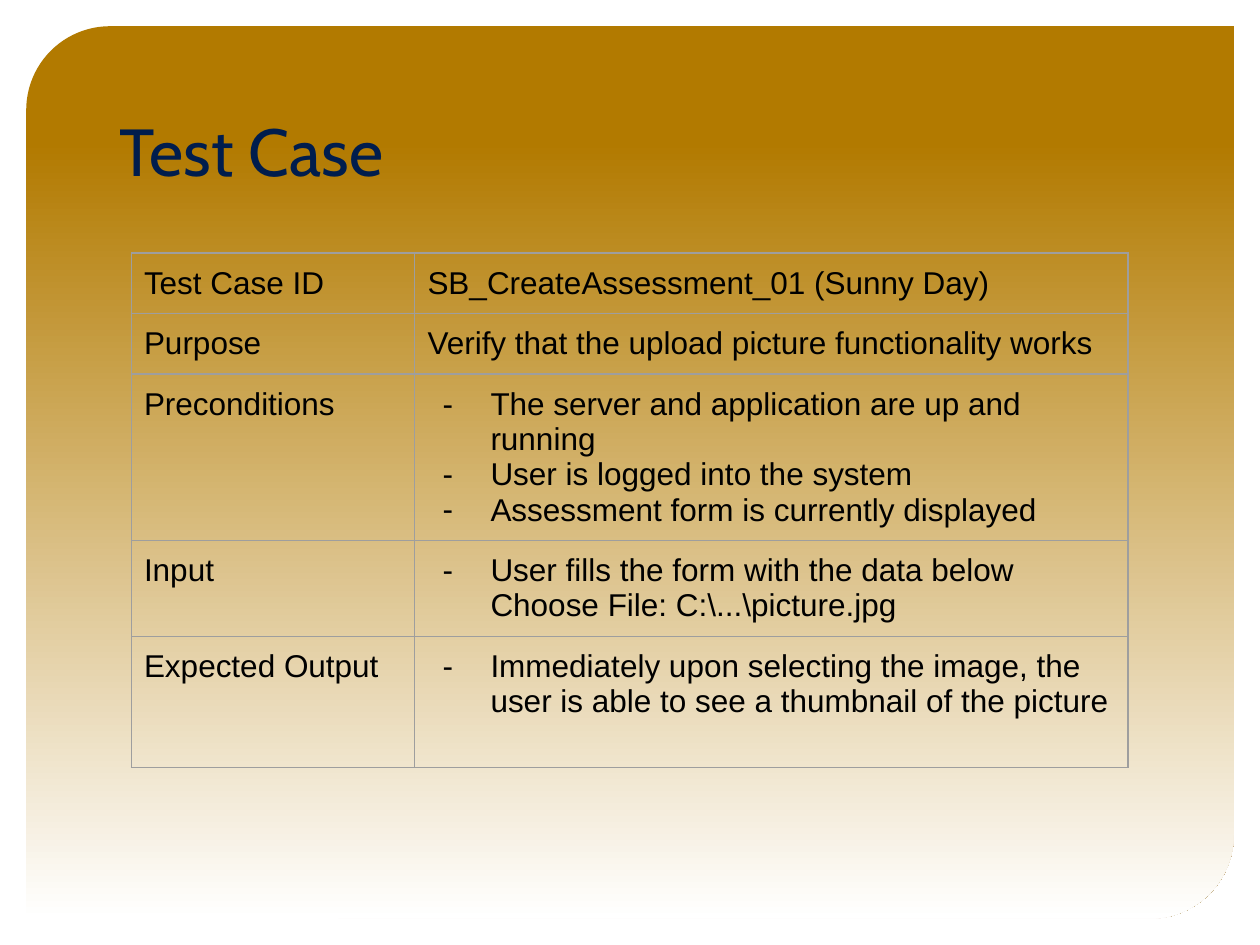
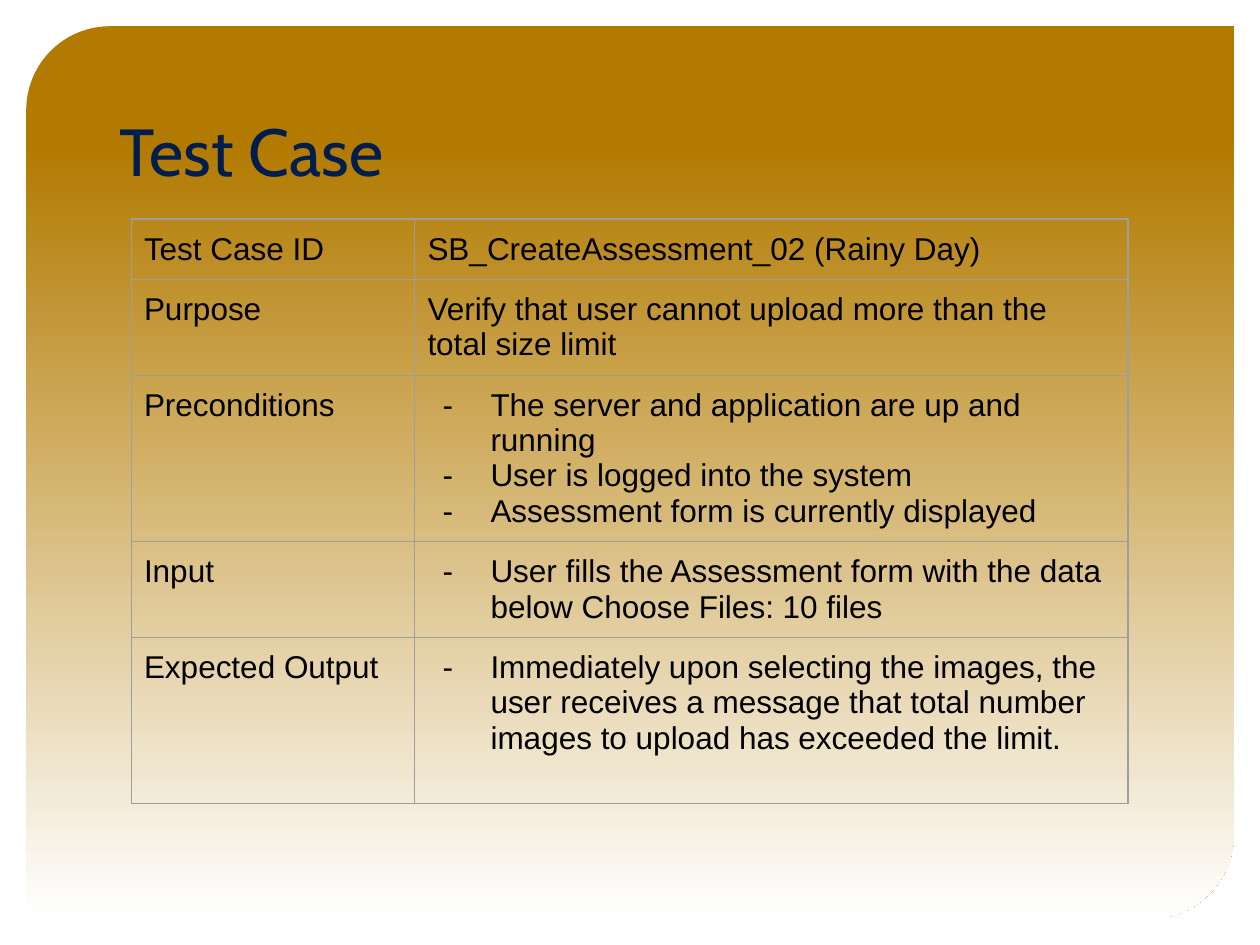
from copy import deepcopy
from dataclasses import dataclass

from lxml import etree
from pptx import Presentation
from pptx.dml.color import RGBColor
from pptx.enum.shapes import MSO_SHAPE
from pptx.enum.text import MSO_ANCHOR, MSO_AUTO_SIZE, PP_ALIGN
from pptx.oxml.ns import qn
from pptx.util import Inches, Pt

BAND_SHAPE = MSO_SHAPE.ROUND_2_DIAG_RECTANGLE
TOP, BOTTOM = MSO_ANCHOR.TOP, MSO_ANCHOR.BOTTOM
LEFT = PP_ALIGN.LEFT
NO_AUTOFIT = MSO_AUTO_SIZE.NONE
TITLE_ONLY = 5


@dataclass(frozen=True)
class Theme:
    """Colours, fonts and sizes shared by all slides."""
    gold: str = "B27A00"
    white: str = "FFFFFF"
    navy: str = "001D4D"
    black: str = "000000"
    grey: str = "9E9E9E"
    title_font: str = "Cabin"
    body_font: str = "Arial"
    title_size: float = 38
    body_size: float = 18
    border_width: float = 0.75
    cell_margin: float = 0.1
    line_height: float = 0.28
    bullet_indent: float = 0.5
    bullet_hang: float = 0.38


@dataclass(frozen=True)
class Box:
    """A rectangle in inches."""
    left: float
    top: float
    width: float
    height: float

    def lengths(self):
        """Return the four lengths for python-pptx."""
        return [Inches(value) for value in (self.left, self.top, self.width, self.height)]


THEME = Theme()
SLIDE_WIDTH, SLIDE_HEIGHT = 10, 7.5
COLUMN, ROW = SLIDE_WIDTH / 100, SLIDE_HEIGHT / 100
BAND_MARGIN = 2.08 * COLUMN
BAND_BOX = Box(BAND_MARGIN, BAND_MARGIN, SLIDE_WIDTH - 2 * BAND_MARGIN, SLIDE_HEIGHT - 2 * BAND_MARGIN)
TITLE_BOX = Box(8.5 * COLUMN, 5.6 * ROW, 82.9 * COLUMN, 15.2 * ROW)
TABLE_LEFT = 10.43 * COLUMN
COLUMN_WIDTHS = (22.5 * COLUMN, 56.6 * COLUMN)

LABELS = ("Test Case ID", "Purpose", "Preconditions", "Input", "Expected Output")
PRECONDITIONS = [
    "The server and application are up and running",
    "User is logged into the system",
    "Assessment form is currently displayed",
]
TEST_CASES = [
    {
        "top": 26.77 * ROW,
        "row_lines": (1, 1, 4, 2, 3),
        "values": (
            "SB_CreateAssessment_01 (Sunny Day)",
            "Verify that the upload picture functionality works",
            PRECONDITIONS,
            ["User fills the form with the data below Choose File: C:\\...\\picture.jpg"],
            ["Immediately upon selecting the image, the user is able to see a thumbnail of the picture"],
        ),
    },
    {
        "top": 23.17 * ROW,
        "row_lines": (1, 2, 4, 2, 4),
        "values": (
            "SB_CreateAssessment_02 (Rainy Day)",
            "Verify that user cannot upload more than the total size limit",
            PRECONDITIONS,
            ["User fills the Assessment form with the data below Choose Files: 10 files"],
            ["Immediately upon selecting the images, the user receives a message that total number "
             "images to upload has exceeded the limit."],
        ),
    },
]


def add_run(paragraph, text, font, size, color):
    """Add one formatted run to a paragraph."""
    run = paragraph.add_run()
    run.text = text
    run.font.name = font
    run.font.size = Pt(size)
    run.font.color.rgb = RGBColor.from_string(color)


def add_band(slide, box):
    """Place the gradient panel behind the title."""
    band = slide.shapes.add_shape(BAND_SHAPE, *box.lengths())
    band.shadow.inherit = False
    band.adjustments[0], band.adjustments[1] = 0.094, 0
    band.line.fill.background()
    band.fill.gradient()
    band.fill.gradient_angle = 270
    first_stop = band.element.find(".//" + qn("a:gs"))
    first_stop.addnext(deepcopy(first_stop))
    stops = zip(band.fill.gradient_stops, (0, 0.13, 1), (THEME.gold, THEME.gold, THEME.white))
    for stop, position, color in stops:
        stop.position = position
        stop.color.rgb = RGBColor.from_string(color)
    slide.shapes.title.element.addprevious(band.element)


def place_title(slide, box, text):
    """Move and format the title placeholder."""
    title = slide.shapes.title
    title.left, title.top, title.width, title.height = box.lengths()
    frame = title.text_frame
    frame.word_wrap = True
    frame.auto_size = NO_AUTOFIT
    frame.vertical_anchor = BOTTOM
    paragraph = frame.paragraphs[0]
    paragraph.alignment = LEFT
    add_run(paragraph, text, THEME.title_font, THEME.title_size, THEME.navy)


def set_dash_bullet(paragraph):
    """Give a paragraph a hanging dash bullet."""
    properties = paragraph._p.get_or_add_pPr()
    properties.set("marL", str(Inches(THEME.bullet_indent)))
    properties.set("indent", str(-Inches(THEME.bullet_hang)))
    color = etree.SubElement(properties, qn("a:buClr"))
    etree.SubElement(color, qn("a:srgbClr"), val=THEME.black)
    etree.SubElement(properties, qn("a:buFont"), typeface=THEME.body_font)
    etree.SubElement(properties, qn("a:buChar"), char="-")


def set_borders(cell):
    """Draw thin grey lines on all sides of a cell."""
    properties = cell._tc.get_or_add_tcPr()
    for index, side in enumerate(("lnL", "lnR", "lnT", "lnB")):
        line = etree.Element(qn(f"a:{side}"), w=str(Pt(THEME.border_width)))
        fill = etree.SubElement(line, qn("a:solidFill"))
        etree.SubElement(fill, qn("a:srgbClr"), val=THEME.grey)
        properties.insert(index, line)


def fill_cell(cell, content):
    """Write plain text or a bulleted list into a transparent cell."""
    cell.fill.background()
    set_borders(cell)
    margin = Inches(THEME.cell_margin)
    cell.margin_left = cell.margin_right = cell.margin_top = cell.margin_bottom = margin
    cell.vertical_anchor = TOP
    bulleted = isinstance(content, list)
    frame = cell.text_frame
    for index, text in enumerate(content if bulleted else [content]):
        paragraph = frame.add_paragraph() if index else frame.paragraphs[0]
        if bulleted:
            set_dash_bullet(paragraph)
        add_run(paragraph, text, THEME.body_font, THEME.body_size, THEME.black)


def add_case_table(slide, box, row_heights, values):
    """Build the two-column test case table inside a box."""
    frame = slide.shapes.add_table(len(LABELS), len(COLUMN_WIDTHS), *box.lengths())
    table = frame.table
    table.first_row = table.horz_banding = False
    for column, width in zip(table.columns, COLUMN_WIDTHS):
        column.width = Inches(width)
    for row, height, contents in zip(table.rows, row_heights, zip(LABELS, values)):
        row.height = Inches(height)
        for cell, content in zip(row.cells, contents):
            fill_cell(cell, content)


def add_test_case_slide(presentation, case):
    """Add one test case slide."""
    slide = presentation.slides.add_slide(presentation.slide_layouts[TITLE_ONLY])
    add_band(slide, BAND_BOX)
    place_title(slide, TITLE_BOX, "Test Case")
    row_heights = [2 * THEME.cell_margin + lines * THEME.line_height for lines in case["row_lines"]]
    box = Box(TABLE_LEFT, case["top"], sum(COLUMN_WIDTHS), sum(row_heights))
    add_case_table(slide, box, row_heights, case["values"])


def main():
    """Build and save the presentation."""
    presentation = Presentation()
    presentation.slide_width = Inches(SLIDE_WIDTH)
    presentation.slide_height = Inches(SLIDE_HEIGHT)
    for case in TEST_CASES:
        add_test_case_slide(presentation, case)
    presentation.save("out.pptx")


if __name__ == "__main__":
    main()
